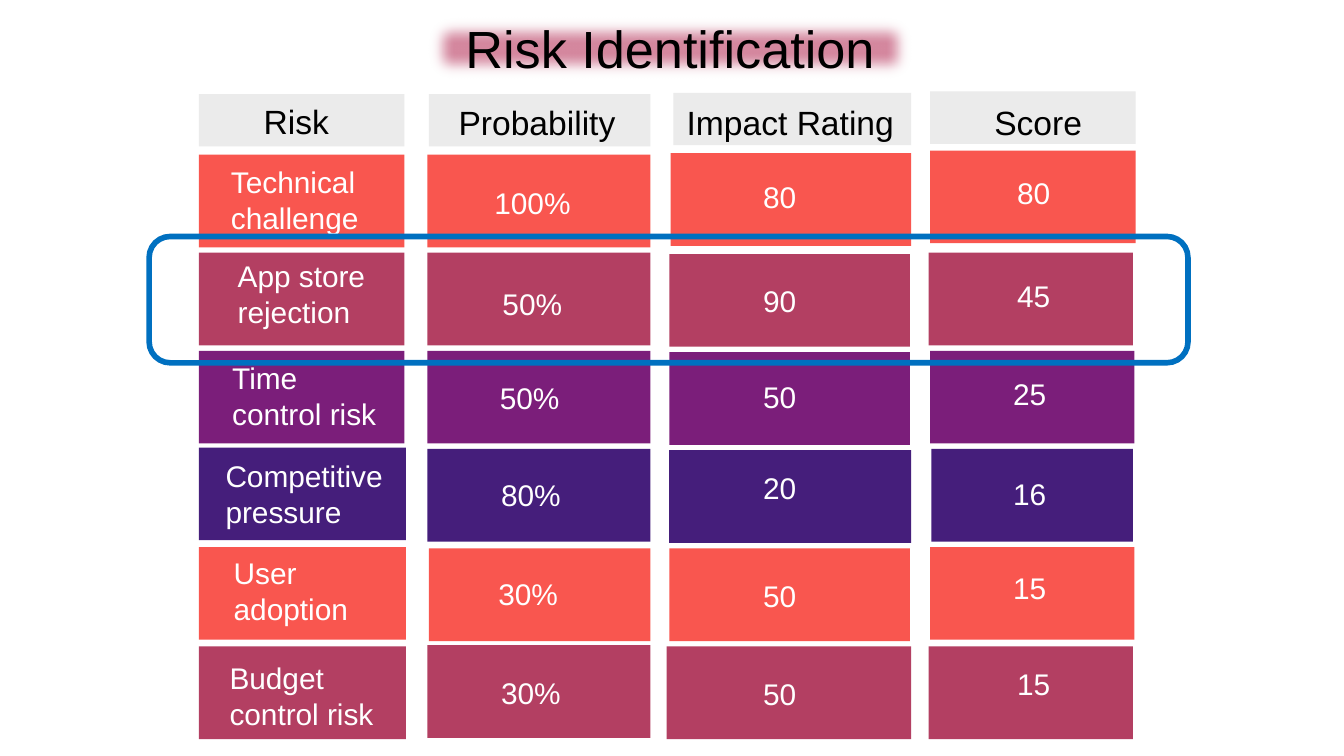
from dataclasses import dataclass

from lxml.etree import SubElement as Sub
from pptx import Presentation as Deck
from pptx.dml.color import RGBColor as Rgb
from pptx.enum.shapes import MSO_SHAPE as Kind
from pptx.enum.text import MSO_ANCHOR as Anchor, PP_ALIGN as Align
from pptx.oxml.ns import qn
from pptx.util import Emu, Pt

SCALE = 9144  # 100 px to the inch
WIDE = 1000
PAD, HEAD_H, CELL_H = 10, 39, 69

HUES = {
    "grey": "EBEBEB", "coral": "F9564F", "rose": "B33F62", "plum": "7B1E7A",
    "navy": "451E7B", "pink": "D5889F", "blue": "0070C0",
    "black": "000000", "white": "FFFFFF",
}
FRAME = {
    "word_wrap": True, "vertical_anchor": Anchor.MIDDLE,
    "margin_left": Emu(PAD * SCALE), "margin_right": Emu(PAD * SCALE),
    "margin_top": Emu(PAD * SCALE), "margin_bottom": Emu(PAD * SCALE),
}


@dataclass(frozen=True)
class Box:
    left: int
    top: int
    width: int
    height: int

    def emu(self) -> list[Emu]:
        return [Emu(n * SCALE) for n in (self.left, self.top, self.width, self.height)]


@dataclass(frozen=True)
class Style:
    size: int
    hue: str
    align: Align


@dataclass(frozen=True)
class Cell:
    text: str
    tile: tuple[int, int, int]   # left, top, width
    label: tuple[int, int, int]  # left, top, width


@dataclass(frozen=True)
class Row:
    hue: str
    cells: tuple[Cell, ...]


TITLE = Style(28, "black", Align.CENTER)
HEAD = Style(18, "black", Align.CENTER)
BODY = Style(16, "white", Align.LEFT)

HEADS = (
    Cell("Risk", (148, 70, 153), (162, 70, 117)),
    Cell("Probability ", (319, 70, 165), (329, 71, 148)),
    Cell("Impact Rating ", (501, 69, 177), (501, 71, 181)),
    Cell("Score", (692, 68, 153), (701, 71, 143)),
)
ROWS = (
    Row("coral", (
        Cell("Technical challenge", (148, 115, 153), (162, 131, 121)),
        Cell("100%", (318, 115, 166), (358, 125, 81)),
        Cell("80", (499, 114, 179), (558, 120, 73)),
        Cell("80", (692, 112, 153), (747, 117, 73)))),
    Row("rose", (
        Cell("App store rejection", (148, 188, 153), (167, 201, 131)),
        Cell("50%", (318, 188, 166), (364, 200, 91)),
        Cell("90", (498, 189, 179), (558, 198, 73)),
        Cell("45", (691, 188, 152), (747, 194, 73)))),
    Row("plum", (
        Cell("Time control risk", (148, 261, 153), (163, 277, 140)),
        Cell("50%", (318, 261, 166), (362, 270, 108)),
        Cell("50", (498, 262, 179), (558, 269, 72)),
        Cell("25", (692, 261, 152), (744, 267, 73)))),
    Row("navy", (
        Cell("Competitive pressure", (148, 333, 154), (158, 350, 140)),
        Cell("80%", (318, 334, 166), (363, 342, 77)),
        Cell("20", (498, 335, 180), (558, 337, 73)),
        Cell("16", (693, 334, 150), (744, 341, 73)))),
    Row("coral", (
        Cell("User adoption", (148, 407, 154), (164, 422, 122)),
        Cell("30%", (319, 408, 165), (361, 416, 94)),
        Cell("50", (498, 408, 179), (558, 417, 72)),
        Cell("15", (692, 407, 152), (744, 411, 73)))),
    Row("rose", (
        Cell("Budget control risk", (148, 481, 154), (161, 500, 140)),
        Cell("30%", (318, 480, 166), (363, 489, 92)),
        Cell("50", (496, 481, 182), (558, 490, 70)),
        Cell("15", (691, 481, 152), (747, 483, 73)))),
)


def color(name: str) -> Rgb:
    return Rgb.from_string(HUES[name])


def write(shape, text: str, style: Style) -> None:
    frame = shape.text_frame
    for key, value in FRAME.items():
        setattr(frame, key, value)
    para = frame.paragraphs[0]
    para.alignment = style.align
    run = para.add_run()
    run.text = text
    for key, value in {"name": "Arial", "size": Pt(style.size)}.items():
        setattr(run.font, key, value)
    run.font.color.rgb = color(style.hue)


def tile(shapes, box: Box, hue: str):
    shape = shapes.add_shape(Kind.RECTANGLE, *box.emu())
    shape.shadow.inherit = False
    shape.fill.solid()
    shape.fill.fore_color.rgb = color(hue)
    shape.line.fill.background()
    return shape


def draw(shapes, cell: Cell, hue: str, high: int, deep: int, style: Style) -> None:
    tile(shapes, Box(*cell.tile, high), hue)
    label = shapes.add_textbox(*Box(*cell.label, deep).emu())
    write(label, cell.text, style)


def main() -> None:
    # Wide page, 16 to 9
    deck = Deck()
    deck.slide_width = Emu(WIDE * SCALE)
    deck.slide_height = Emu(WIDE * SCALE * 9 // 16)
    shapes = deck.slides.add_slide(deck.slide_layouts[6]).shapes

    # Title on a soft-edged band
    band = tile(shapes, Box(315, 9, 367, 53), "pink")
    soft = Sub(band.element.spPr.find(qn("a:effectLst")), qn("a:softEdge"))
    soft.set("rad", str(12 * SCALE))
    write(band, "Risk Identification", TITLE)

    # Column heads
    for cell in HEADS:
        draw(shapes, cell, "grey", HEAD_H, 40, HEAD)

    # Risk rows: names in the first column, values in the rest
    for row in ROWS:
        for col, cell in enumerate(row.cells):
            draw(shapes, cell, row.hue, CELL_H, 52 if col else 35, BODY)

    # Ring around the second risk
    ring = shapes.add_shape(Kind.ROUNDED_RECTANGLE, *Box(111, 176, 773, 94).emu())
    ring.shadow.inherit = False
    ring.fill.background()
    ring.line.color.rgb = color("blue")
    ring.line.width = Pt(3)

    deck.save("out.pptx")


if __name__ == "__main__":
    main()
